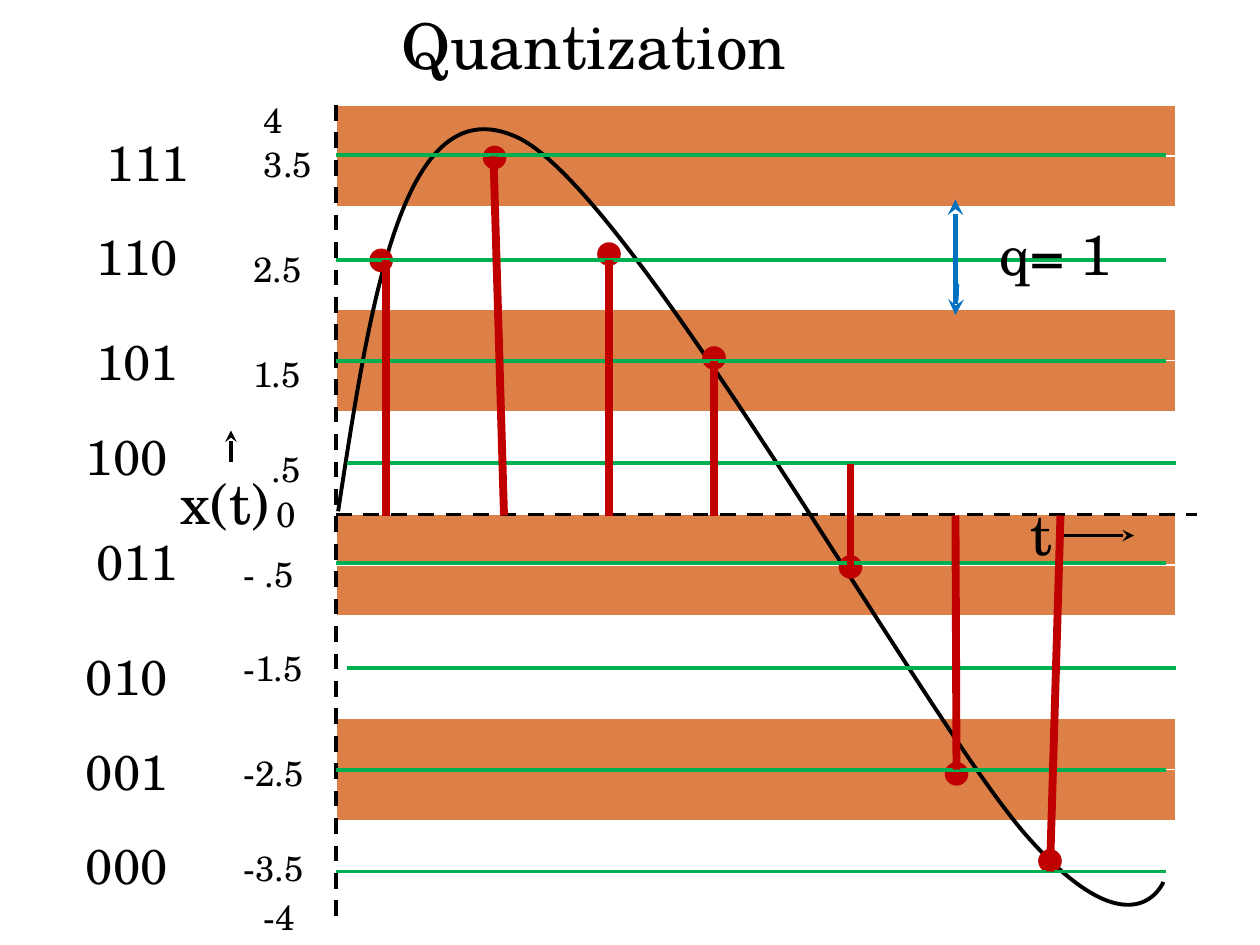
import lxml.etree
import pptx
import pptx.dml.color
import pptx.enum.dml
import pptx.enum.shapes
import pptx.enum.text
import pptx.oxml.ns
import pptx.util

PX = 7620
FONT = "TeX Gyre Schola"
COLORS = {"band": "DD8047", "gap": "FFFFFF", "ink": "000000",
          "level": "00B050", "sample": "C00000", "step": "0070C0"}

TITLE = "Quantization"
TABLE_BOX = (320, 100, 800, 779)
ROWS = 16
ZERO_Y = 491
CURVE = [(322, 487), (353, 284), (384, 80), (493, 131), (602, 182),
         (874, 675), (976, 794), (1079, 912), (1108, 840), (1108, 840)]
LEVELS = [(320, 148), (320, 248), (320, 344), (330, 441),
          (320, 536), (330, 636), (320, 733), (320, 830)]
LEVEL_WIDTH = 790
DOT = 20
DOTS = [(353, 238), (461, 140), (570, 232), (670, 331),
        (800, 530), (901, 727), (990, 810)]
STEMS = [(368, 248, 368, ZERO_Y), (470, 149, 480, ZERO_Y),
         (580, 248, 580, ZERO_Y), (680, 344, 680, ZERO_Y),
         (810, 540, 810, 442), (910, ZERO_Y, 911, 733),
         (1000, 830, 1010, ZERO_Y)]
CODES = [("111", 90, 120), ("110", 80, 210), ("101", 80, 310), ("100", 70, 400),
         ("011", 80, 500), ("010", 70, 610), ("001", 70, 700), ("000", 70, 790)]
VALUES = [("4", 220, 88, 19), ("3.5", 230, 130, 9), ("2.5", 220, 230, 9),
          ("1.5", 220, 330, 9), (".5", 230, 420, 17), ("0", 232, 463, 19),
          ("- .5", 220, 520, 0), ("-1.5", 220, 610, 0), ("-2.5", 220, 710, 0),
          ("-3.5", 220, 800, 0), ("-4", 220, 847, 19)]
NAMES = [("q= 1", 940, 203, 170), ("t", 970, 470, 80), ("x(t)", 160, 440, 120)]
AXES = [(320, 490, 1140, 490), (320, 100, 320, 880)]
ARROWS = [(910, 290, 910, 190, "step", 3), (911, 270, 910, 300, "step", 3),
          (1010, 510, 1080, 510, "ink", 2.25), (220, 440, 220, 410, "ink", 2.25)]

prs = pptx.Presentation()
prs.slide_width, prs.slide_height = 1200 * PX, 900 * PX
s = prs.slides.add_slide(prs.slide_layouts[5])


def emu(*lengths):
    return [n * PX for n in lengths]


def rgb(name):
    return pptx.dml.color.RGBColor.from_string(COLORS[name])


def add_text(text, *, box, size, indent=0, sp=None):
    x, y, w, h = emu(*box)
    if sp is None:
        sp = s.shapes.add_textbox(x, y, w, h)
    sp.left, sp.top, sp.width, sp.height = x, y, w, h
    tf = sp.text_frame
    tf.word_wrap = True
    tf.auto_size = pptx.enum.text.MSO_AUTO_SIZE.SHAPE_TO_FIT_TEXT
    tf.vertical_anchor = pptx.enum.text.MSO_ANCHOR.TOP
    tf.margin_left = (12 + indent) * PX
    p = tf.paragraphs[0]
    p.alignment = pptx.enum.text.PP_ALIGN.LEFT
    r = p.add_run()
    r.text = text
    r.font.name, r.font.size = FONT, pptx.util.Pt(size)
    r.font.color.rgb = rgb("ink")


def add_line(x1, y1, x2, y2, color, width, dash=False, arrow=False):
    sp = s.shapes.add_connector(pptx.enum.shapes.MSO_CONNECTOR.STRAIGHT,
                                *emu(x1, y1, x2, y2))
    sp.line.color.rgb = rgb(color)
    sp.line.width = pptx.util.Pt(width)
    if dash:
        sp.line.dash_style = pptx.enum.dml.MSO_LINE.DASH
    if arrow:
        ln = sp.line._get_or_add_ln()
        lxml.etree.SubElement(ln, pptx.oxml.ns.qn("a:tailEnd"), type="stealth")
    lxml.etree.SubElement(sp._element.spPr, pptx.oxml.ns.qn("a:effectLst"))


def add_curve(points):
    fb = s.shapes.build_freeform(*emu(*points[0]), scale=1.0)
    fb.add_line_segments([emu(*pt) for pt in points[1:]], close=False)
    sp = fb.convert_to_shape()
    sp.shadow.inherit = False
    sp.fill.background()
    sp.line.color.rgb = rgb("ink")
    sp.line.width = pptx.util.Pt(2.25)
    segments = list(sp._element.iter(pptx.oxml.ns.qn("a:lnTo")))
    for i in range(0, len(segments), 3):
        bezier = lxml.etree.Element(pptx.oxml.ns.qn("a:cubicBezTo"))
        segments[i].addprevious(bezier)
        for segment in segments[i:i + 3]:
            bezier.append(segment[0])
            segment.getparent().remove(segment)


def add_dot(x, y):
    sp = s.shapes.add_shape(pptx.enum.shapes.MSO_SHAPE.OVAL, *emu(x, y, DOT, DOT))
    sp.shadow.inherit = False
    sp.fill.solid()
    sp.fill.fore_color.rgb = rgb("sample")
    sp.line.color.rgb = rgb("sample")
    sp.line.width = pptx.util.Pt(1.5)


table = s.shapes.add_table(ROWS, 1, *emu(*TABLE_BOX)).table
for i, row in enumerate(table.rows):
    row.height = TABLE_BOX[3] * PX // ROWS
    fill = row.cells[0].fill
    fill.solid()
    fill.fore_color.rgb = rgb("gap" if i // 2 % 2 else "band")

add_text(TITLE, box=(370, 0, 400, 85), size=36, sp=s.shapes.title)
for text, x, y, indent in VALUES:
    add_text(text, box=(x, y, 90, 53), size=20, indent=indent)
for axis in AXES:
    add_line(*axis, "ink", 2.25, dash=True)
add_curve(CURVE)
for x, y in DOTS:
    add_dot(x, y)
for x, y in LEVELS:
    add_line(x, y, x + LEVEL_WIDTH, y, "level", 2.25)
for text, x, y in CODES:
    add_text(text, box=(x, y, 120, 68), size=28)
for text, x, y, w in NAMES:
    add_text(text, box=(x, y, w, 77), size=32)
for arrow in ARROWS:
    add_line(*arrow, arrow=True)
for stem in STEMS:
    add_line(*stem, "sample", 4.5)

prs.save("out.pptx")
